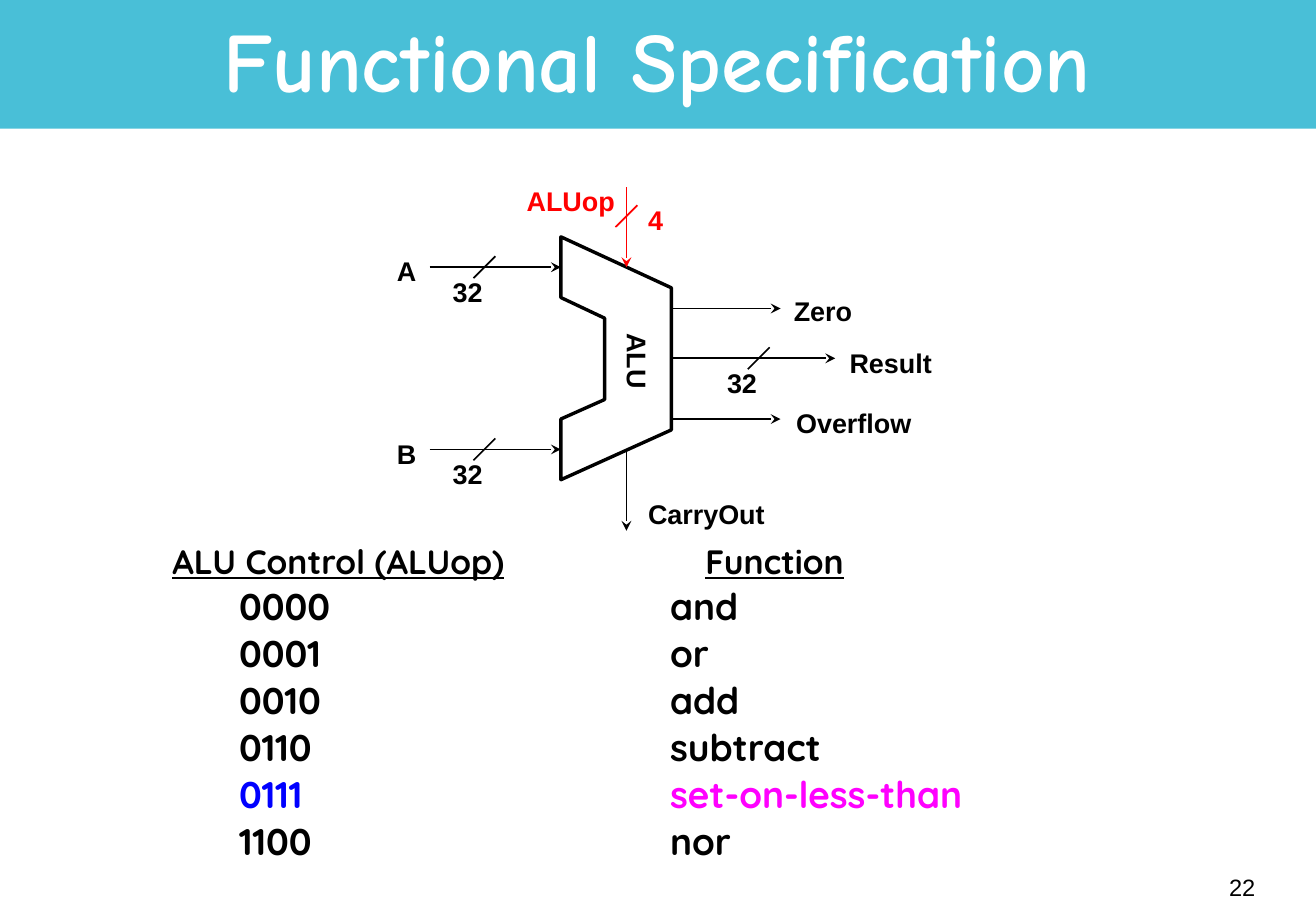
from lxml.etree import SubElement
from pptx import Presentation
from pptx.dml.color import RGBColor
from pptx.enum.shapes import MSO_CONNECTOR, MSO_SHAPE
from pptx.enum.text import MSO_ANCHOR, MSO_AUTO_SIZE, PP_ALIGN
from pptx.oxml.ns import qn
from pptx.util import Inches, Pt

THEME = {
    "band": "49BFD7", "white": "FFFFFF", "ink": "000000", "control": "FF0000",
    "code": "0000FF", "accent": "FF00FF",
    "title": {"name": "Comic Neue", "size": Pt(50), "bold": True},
    "heading": {"name": "Quicksand", "size": Pt(20), "bold": True},
    "row": {"name": "Quicksand", "size": Pt(22), "bold": True},
    "label": {"name": "Arial", "size": Pt(16), "bold": True},
    "number": {"name": "Arial", "size": Pt(14), "bold": False},
    "outline": 2, "wire": 1,
}

SLIDE_SIZE = (10.84, 7.5)
BAND_HEIGHT = 1.06
TITLE = "Functional Specification"
PAGE_NUMBER = "22"
HEADINGS = ("ALU Control (ALUop)", "Function")
FUNCTIONS = [
    ("0000", "and", "ink", "ink"),
    ("0001", "or", "ink", "ink"),
    ("0010", "add", "ink", "ink"),
    ("0110", "subtract", "ink", "ink"),
    ("0111", "set-on-less-than", "code", "accent"),
    ("1100", "nor", "ink", "ink"),
]
HEADING_TABS = (4.39,)
ROW_TABS = (0.55, 4.1)

LEFT, NOTCH, RIGHT, MIDDLE = 4.62, 4.98, 5.53, 5.16
ALU_OUTLINE = [
    (LEFT, 1.95), (RIGHT, 2.37), (RIGHT, 3.54), (LEFT, 3.95),
    (LEFT, 3.45), (NOTCH, 3.29), (NOTCH, 2.62), (LEFT, 2.45),
]
WIRES = [
    ((3.54, 2.2), (LEFT, 2.2), "ink"),
    ((3.54, 3.7), (LEFT, 3.7), "ink"),
    ((RIGHT, 2.54), (6.43, 2.54), "ink"),
    ((RIGHT, 2.95), (6.88, 2.95), "ink"),
    ((RIGHT, 3.45), (6.43, 3.45), "ink"),
    ((MIDDLE, 1.54), (MIDDLE, 2.2), "control"),
    ((MIDDLE, 3.7), (MIDDLE, 4.37), "ink"),
]
BUS_MARKS = [
    (3.99, 2.2, "ink"), (3.99, 3.7, "ink"),
    (6.25, 2.95, "ink"), (MIDDLE, 1.78, "control"),
]
MARK_REACH = 0.09
LABEL_HEIGHT = 0.37
LABELS = [
    ("ALU", 4.92, 2.79, 0.66, "ink", 90),
    ("A", 3.17, 2.05, 0.36, "ink", 0),
    ("B", 3.17, 3.55, 0.36, "ink", 0),
    ("32", 3.63, 2.22, 0.45, "ink", 0),
    ("32", 3.63, 3.72, 0.45, "ink", 0),
    ("32", 5.89, 2.97, 0.45, "ink", 0),
    ("Zero", 6.44, 2.38, 0.68, "ink", 0),
    ("Result", 6.9, 2.8, 0.88, "ink", 0),
    ("Overflow", 6.46, 3.3, 1.15, "ink", 0),
    ("CarryOut", 5.24, 4.05, 1.16, "ink", 0),
    ("ALUop", 4.24, 1.47, 0.93, "control", 0),
    ("4", 5.24, 1.63, 0.33, "control", 0),
]


def color(name):
    return RGBColor.from_string(THEME[name])


def apply(target, values):
    for name, value in values.items():
        setattr(target, name, value)


def add_run(paragraph, text, style, color_name="ink", **extra):
    run = paragraph.add_run()
    run.text = text
    apply(run.font, {**THEME[style], **extra})
    run.font.color.rgb = color(color_name)


def add_text_box(slide, box, **frame_values):
    shape = slide.shapes.add_textbox(*map(Inches, box))
    apply(shape.text_frame, {"word_wrap": True, **frame_values})
    return shape


def add_line(slide, start, end, color_name, arrow=False):
    connector = slide.shapes.add_connector(
        MSO_CONNECTOR.STRAIGHT, *map(Inches, (*start, *end)))
    connector.line.color.rgb = color(color_name)
    connector.line.width = Pt(THEME["wire"])
    if arrow:
        SubElement(connector.line._get_or_add_ln(), qn("a:tailEnd"), type="stealth")
    SubElement(connector._element.spPr, qn("a:effectLst"))


def add_band(slide):
    band = slide.shapes.add_shape(
        MSO_SHAPE.RECTANGLE, 0, 0, Inches(SLIDE_SIZE[0]), Inches(BAND_HEIGHT))
    band.shadow.inherit = False
    band.fill.solid()
    band.fill.fore_color.rgb = color("band")
    band.line.fill.background()


def add_title(slide):
    shape = add_text_box(slide, (0.81, 0.05, 9.21, 0.99),
                         vertical_anchor=MSO_ANCHOR.MIDDLE)
    paragraph = shape.text_frame.paragraphs[0]
    apply(paragraph, {"alignment": PP_ALIGN.CENTER, "line_spacing": 0.85})
    add_run(paragraph, TITLE, "title", "white")


def add_tabs(paragraph, positions):
    tab_list = SubElement(paragraph._p.get_or_add_pPr(), qn("a:tabLst"))
    for position in positions:
        SubElement(tab_list, qn("a:tab"), pos=str(Inches(position)), algn="l")


def add_function_list(slide):
    frame = add_text_box(
        slide, (1.35, 4.46, 8.31, 3.04),
        margin_left=Inches(0.07), margin_right=Inches(0.07),
        margin_top=Inches(0.03), margin_bottom=Inches(0.03)).text_frame
    heading = frame.paragraphs[0]
    heading.line_spacing = 0.9
    add_tabs(heading, HEADING_TABS)
    add_run(heading, HEADINGS[0], "heading", underline=True)
    add_run(heading, "\t", "heading")
    add_run(heading, HEADINGS[1], "heading", underline=True)
    for code, function, code_color, function_color in FUNCTIONS:
        paragraph = frame.add_paragraph()
        apply(paragraph, {"line_spacing": 0.9, "space_before": Pt(4.1)})
        add_tabs(paragraph, ROW_TABS)
        add_run(paragraph, f"\t{code}\t", "row", code_color)
        add_run(paragraph, function, "row", function_color)


def add_alu(slide):
    corners = [(Inches(x), Inches(y)) for x, y in ALU_OUTLINE]
    builder = slide.shapes.build_freeform(*corners[0])
    builder.add_line_segments(corners[1:], close=True)
    outline = builder.convert_to_shape()
    outline.shadow.inherit = False
    outline.fill.background()
    outline.line.color.rgb = color("ink")
    outline.line.width = Pt(THEME["outline"])


def add_diagram(slide):
    add_alu(slide)
    for start, end, color_name in WIRES:
        add_line(slide, start, end, color_name, arrow=True)
    for x, y, color_name in BUS_MARKS:
        add_line(slide, (x + MARK_REACH, y - MARK_REACH),
                 (x - MARK_REACH, y + MARK_REACH), color_name)
    for text, left, top, width, color_name, rotation in LABELS:
        shape = add_text_box(slide, (left, top, width, LABEL_HEIGHT),
                             word_wrap=False,
                             auto_size=MSO_AUTO_SIZE.SHAPE_TO_FIT_TEXT)
        shape.rotation = rotation
        add_run(shape.text_frame.paragraphs[0], text, "label", color_name)


def add_page_number(slide):
    shape = add_text_box(slide, (8.18, 7.05, 2.26, 0.5),
                         vertical_anchor=MSO_ANCHOR.MIDDLE)
    paragraph = shape.text_frame.paragraphs[0]
    paragraph.alignment = PP_ALIGN.RIGHT
    add_run(paragraph, PAGE_NUMBER, "number")


def main():
    presentation = Presentation()
    presentation.slide_width, presentation.slide_height = map(Inches, SLIDE_SIZE)
    slide = presentation.slides.add_slide(presentation.slide_layouts[6])
    add_band(slide)
    add_function_list(slide)
    add_diagram(slide)
    add_title(slide)
    add_page_number(slide)
    presentation.save("out.pptx")


if __name__ == "__main__":
    main()
